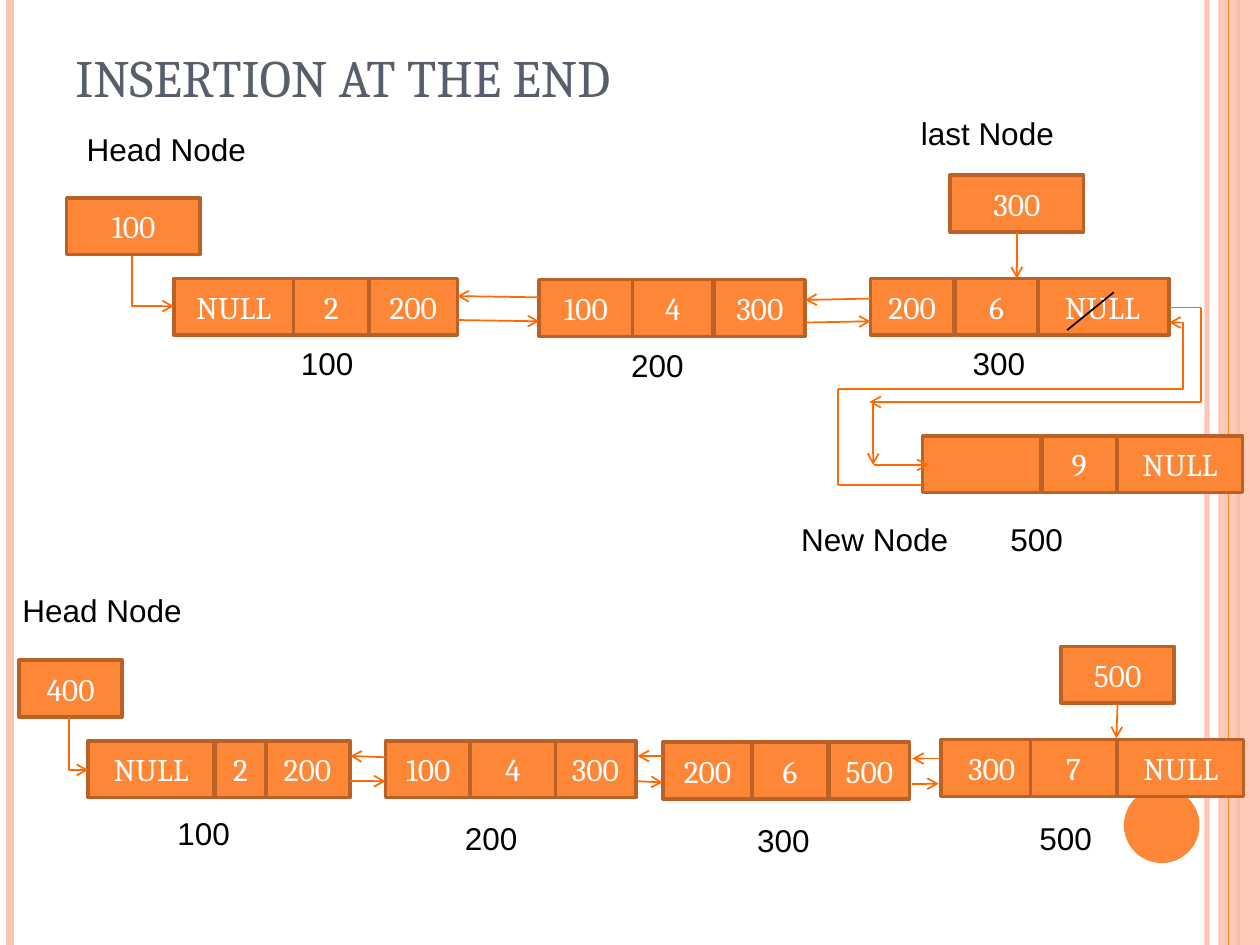
from lxml import etree
from pptx import Presentation
from pptx.dml.color import RGBColor
from pptx.enum.shapes import MSO_CONNECTOR, MSO_SHAPE
from pptx.enum.text import MSO_ANCHOR, PP_ALIGN
from pptx.oxml.ns import qn
from pptx.util import Inches, Pt

STRAIGHT, ELBOW = MSO_CONNECTOR.STRAIGHT, MSO_CONNECTOR.ELBOW
RECT, OVAL = MSO_SHAPE.RECTANGLE, MSO_SHAPE.OVAL
MIDDLE, BOTTOM, TOP = MSO_ANCHOR.MIDDLE, MSO_ANCHOR.BOTTOM, MSO_ANCHOR.TOP
CENTER = PP_ALIGN.CENTER

ORANGE = RGBColor(0xFE, 0x86, 0x37)
BORDER = RGBColor(0xBB, 0x61, 0x26)
ARROW = RGBColor(0xFF, 0x69, 0x03)
PEACH = RGBColor(0xFE, 0xC3, 0xAE)
SLATE = RGBColor(0x57, 0x5F, 0x6D)
WHITE = RGBColor(0xFF, 0xFF, 0xFF)
BLACK = RGBColor(0x00, 0x00, 0x00)

CELL_H = 0.45


class ListSlide:
    """Draws linked-list elements on one slide, with lengths in inches."""

    def __init__(self, slide):
        self.shapes = slide.shapes

    def set_alpha(self, props, percent):
        color = props.find(".//" + qn("a:srgbClr"))
        etree.SubElement(color, qn("a:alpha"), val=str(percent * 1000))

    def shape(self, kind, x, y, w, h, border=None, alpha=None):
        sp = self.shapes.add_shape(kind, Inches(x), Inches(y), Inches(w), Inches(h))
        sp.shadow.inherit = False
        sp.fill.solid()
        sp.fill.fore_color.rgb = PEACH if alpha else ORANGE
        if alpha:
            self.set_alpha(sp._element.spPr, alpha)
        if border:
            sp.line.color.rgb = border
            sp.line.width = Pt(2)
        else:
            sp.line.fill.background()
        return sp

    def set_text(self, tf, text, size, font, color):
        p = tf.paragraphs[0]
        p.text = text
        p.font.size = Pt(size)
        p.font.name = font
        p.font.color.rgb = color
        return p

    def cell(self, x, y, w, text):
        sp = self.shape(RECT, x, y, w, CELL_H, BORDER)
        if text:
            tf = sp.text_frame
            tf.vertical_anchor = MIDDLE
            self.set_text(tf, text, 18, "Cambria", WHITE).alignment = CENTER

    def node(self, y, previous, data, following):
        """Each cell is (left, width, text); the data cell lies on top."""
        for x, w, text in (previous, following, data):
            self.cell(x, y, w, text)

    def text(self, x, y, w, h, text, size=18, font="Arial", color=BLACK, anchor=TOP):
        tf = self.shapes.add_textbox(Inches(x), Inches(y), Inches(w), Inches(h)).text_frame
        tf.word_wrap = True
        tf.vertical_anchor = anchor
        self.set_text(tf, text, size, font, color)

    def line(self, x1, y1, x2, y2, color=ARROW, width=1, arrow=False, bend=None, alpha=None):
        kind = STRAIGHT if bend is None else ELBOW
        cxn = self.shapes.add_connector(kind, Inches(x1), Inches(y1), Inches(x2), Inches(y2))
        cxn.line.color.rgb = color
        cxn.line.width = Pt(width)
        props = cxn._element.spPr
        if alpha:
            self.set_alpha(props, alpha)
        if arrow:
            etree.SubElement(props.find(qn("a:ln")), qn("a:tailEnd"), type="arrow")
        if bend is not None:
            # Place the vertical leg at x = bend
            adj = round((bend - x1) / (x2 - x1) * 100000)
            guides = props.find(".//" + qn("a:avLst"))
            etree.SubElement(guides, qn("a:gd"), name="adj1", fmla=f"val {adj}")
        etree.SubElement(props, qn("a:effectLst"))

    def arrow(self, x1, y1, x2, y2, bend=None):
        self.line(x1, y1, x2, y2, arrow=True, bend=bend)


def main():
    prs = Presentation()
    prs.slide_width, prs.slide_height = Inches(10), Inches(7.5)
    s = ListSlide(prs.slides.add_slide(prs.slide_layouts[6]))

    # Side stripes and dot
    s.line(9.58, 0, 9.58, 7.5, PEACH, 3, alpha=93)
    s.line(0.08, 0, 0.08, 7.5, PEACH, 4.5)
    s.line(9.83, 0, 9.83, 7.5, ORANGE, 1.5)
    s.shape(RECT, 9.67, 0, 0.33, 7.5, alpha=87)
    s.line(9.75, 0, 9.75, 7.5, ORANGE, 0.75)
    s.shape(OVAL, 8.92, 6.25, 0.6, 0.6)

    s.text(0.5, 0.3, 8.17, 0.61, "INSERTION AT THE END", 30, "Cambria", SLATE, BOTTOM)

    # List before insertion, with the new node
    s.cell(0.53, 1.57, 1.06, "100")
    s.cell(7.54, 1.39, 1.06, "300")
    s.node(2.21, (1.38, 0.95, "NULL"), (2.33, 0.6, "2"), (2.93, 0.7, "200"))
    s.node(2.22, (4.28, 0.74, "100"), (5.02, 0.64, "4"), (5.67, 0.72, "300"))
    s.node(2.21, (6.91, 0.66, "200"), (7.58, 0.66, "6"), (8.22, 1.06, "NULL"))
    s.node(3.46, (7.32, 0.94, ""), (8.27, 0.59, "9"), (8.87, 0.99, "NULL"))

    # List after insertion
    s.cell(0.15, 5.24, 0.82, "400")
    s.cell(8.42, 5.13, 0.9, "500")
    s.node(5.88, (0.7, 1, "NULL"), (1.71, 0.4, "2"), (2.1, 0.68, "200"))
    s.node(5.88, (3.06, 0.68, "100"), (3.73, 0.68, "4"), (4.4, 0.65, "300"))
    s.node(5.89, (5.26, 0.71, "200"), (5.97, 0.6, "6"), (6.58, 0.64, "500"))
    s.node(5.87, (7.47, 0.8, "300"), (8.18, 0.68, "7"), (8.87, 1, "NULL"))

    # Node names
    for x, y, name in [(0.59, 0.98, "Head Node"), (7.21, 0.86, "last Node"),
                       (6.26, 4.08, "New Node"), (0.08, 4.64, "Head Node")]:
        s.text(x, y, 1.57, 0.4, name)

    # Node addresses
    for x, y, address in [(2.29, 2.68, "100"), (4.91, 2.7, "200"), (7.62, 2.68, "300"),
                          (7.92, 4.08, "500"), (1.31, 6.41, "100"), (3.59, 6.45, "200"),
                          (5.91, 6.47, "300"), (8.15, 6.45, "500")]:
        s.text(x, y, 0.85, 0.4, address)

    # Head and last pointers
    s.arrow(1.05, 2.03, 1.38, 2.43, bend=1.05)
    s.arrow(0.55, 5.69, 0.7, 6.11, bend=0.55)
    s.arrow(8.07, 1.84, 8.07, 2.21)
    s.arrow(8.87, 5.59, 8.86, 5.86)

    # Links between neighbours: forward, then back
    for x1, x2, forward, back in [(3.63, 4.28, (2.54, 2.55), (2.36, 2.35)),
                                  (6.39, 6.91, (2.56, 2.55), (2.37, 2.38)),
                                  (2.78, 3.06, (6.2, 6.2), (6.01, 6)),
                                  (5.06, 5.26, (6.2, 6.21), (6, 6)),
                                  (7.24, 7.45, (6.22, 6.22), (6.02, 6.02))]:
        s.arrow(x1, forward[0], x2, forward[1])
        s.arrow(x2, back[0], x1, back[1])

    # Old NULL struck out and replaced by a link to the new node
    s.line(8.84, 2.32, 8.47, 2.62, BLACK)
    s.arrow(9.28, 2.44, 6.9, 3.19, bend=9.53)
    s.arrow(6.93, 3.21, 6.93, 3.69)
    s.arrow(6.94, 3.69, 7.37, 3.69)

    # Link from the new node back to the old last node
    s.line(7.32, 3.85, 6.65, 3.85)
    s.line(6.65, 3.85, 6.65, 3.09)
    s.arrow(6.65, 3.09, 9.28, 2.56, bend=9.39)

    prs.save("out.pptx")


if __name__ == "__main__":
    main()
